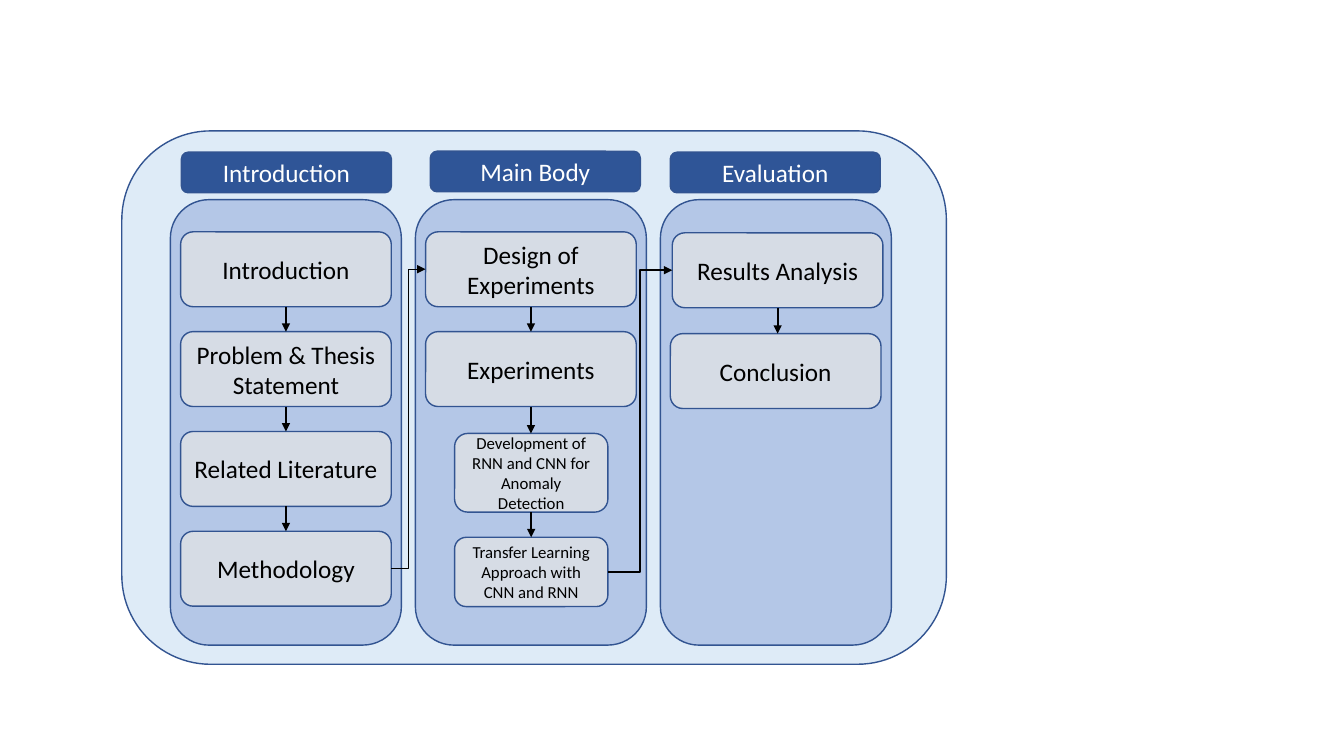
import pptx
import pptx.util
import pptx.dml.color
import pptx.enum.shapes
import pptx.enum.text
import pptx.oxml.ns
import lxml.etree

Pt = pptx.util.Pt
CONNECTOR = pptx.enum.shapes.MSO_CONNECTOR
OUTLINE = "325491"
BOX_WIDTH, BOX_HEIGHT = 150.5, 53.5

deck = pptx.Presentation()
deck.slide_width, deck.slide_height = Pt(960), Pt(540)
page = deck.slides.add_slide(deck.slide_layouts[6])


def color(value):
    """Turn a hex string into a colour."""
    return pptx.dml.color.RGBColor.from_string(value)


def add_box(text, left, top, width, height, fill="D6DCE5", size=18, ink="000000"):
    """Add an outlined rounded rectangle with centred text."""
    box = page.shapes.add_shape(
        pptx.enum.shapes.MSO_SHAPE.ROUNDED_RECTANGLE,
        Pt(left), Pt(top), Pt(width), Pt(height))
    box.shadow.inherit = False
    box.fill.solid()
    box.fill.fore_color.rgb = color(fill)
    box.line.color.rgb = color(OUTLINE)
    box.line.width = Pt(1)
    if text:
        frame = box.text_frame
        frame.word_wrap = True
        frame.vertical_anchor = pptx.enum.text.MSO_ANCHOR.MIDDLE
        para = frame.paragraphs[0]
        para.alignment = pptx.enum.text.PP_ALIGN.CENTER
        span = para.add_run()
        span.text = text
        span.font.name = "Calibri"
        span.font.size = Pt(size)
        span.font.color.rgb = color(ink)
    return box


# Outer frame and three column panels
add_box("", 87, 93.5, 589, 381, fill="DEEBF7")
for column in range(3):
    add_box("", 121.7 + 175 * column, 142.6, 165, 318.2, fill="B4C7E7")

# Steps of each column: text, left, top, width, height, text size
introduction = [
    (text, 129, 165.6 + 71.3 * row, BOX_WIDTH, BOX_HEIGHT, 18)
    for row, text in enumerate(["Introduction", "Problem & Thesis Statement",
                                "Related Literature", "Methodology"])]
main_body = [
    ("Design of Experiments", 304, 165.6, BOX_WIDTH, BOX_HEIGHT, 18),
    ("Experiments", 304, 236.9, BOX_WIDTH, BOX_HEIGHT, 18),
    ("Development of RNN and CNN for Anomaly Detection", 324.7, 309.6, 109.5, 56.2, 12),
    ("Transfer Learning Approach with CNN and RNN", 324.7, 383.8, 109.5, 49.5, 12)]
evaluation = [
    ("Results Analysis", 480.2, 166.3, BOX_WIDTH, BOX_HEIGHT, 18),
    ("Conclusion", 478.8, 238.3, BOX_WIDTH, BOX_HEIGHT, 18)]
columns = [
    [add_box(text, left, top, width, height, size=size)
     for text, left, top, width, height, size in steps]
    for steps in (introduction, main_body, evaluation)]

# Arrows down each column, then from the end of one column to the next
arrows = []
for boxes in columns:
    for upper, lower in zip(boxes, boxes[1:]):
        center = upper.left + upper.width // 2
        arrows.append((CONNECTOR.STRAIGHT, 1.5, center, upper.top + upper.height,
                       center, lower.top))
for boxes, following in zip(columns, columns[1:]):
    last, first = boxes[-1], following[0]
    arrows.append((CONNECTOR.ELBOW, 1, last.left + last.width, last.top + last.height // 2,
                   first.left, first.top + first.height // 2))

for kind, weight, *ends in arrows:
    arrow = page.shapes.add_connector(kind, *ends)
    arrow.line.color.rgb = color("000000")
    arrow.line.width = Pt(weight)
    properties = arrow.element.spPr
    outline = properties.find(pptx.oxml.ns.qn("a:ln"))
    lxml.etree.SubElement(outline, pptx.oxml.ns.qn("a:tailEnd"), type="triangle")
    lxml.etree.SubElement(properties, pptx.oxml.ns.qn("a:effectLst"))

# Column headings
for heading, left, top in [("Introduction", 129.6, 108.7), ("Main Body", 307.4, 108),
                           ("Evaluation", 478.8, 108.7)]:
    add_box(heading, left, top, 150, 29, fill="2F5597", ink="FFFFFF")

deck.save("out.pptx")
